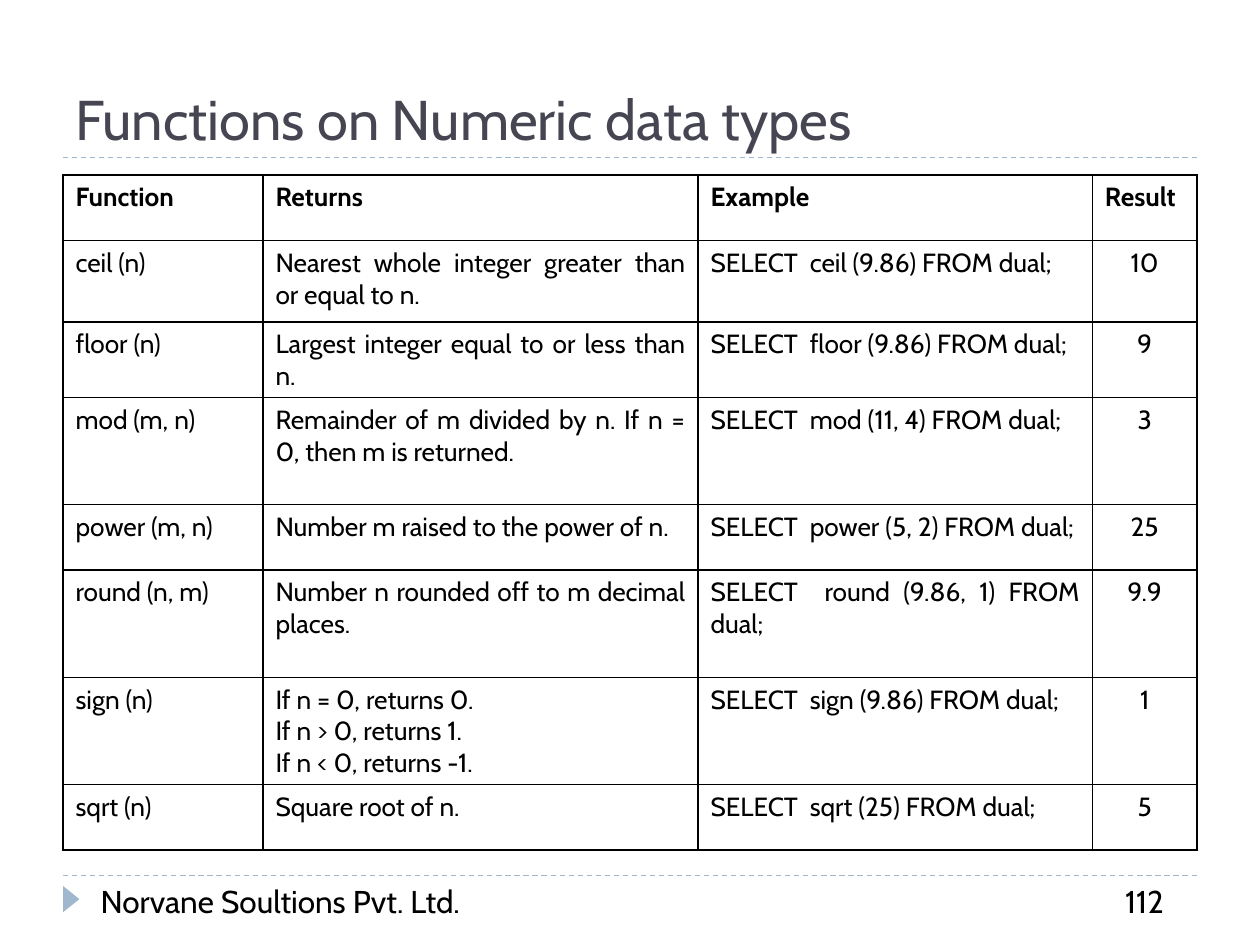
from lxml import etree
from pptx import Presentation
from pptx.dml.color import RGBColor
from pptx.enum import dml, shapes, text
from pptx.oxml import ns
from pptx.util import Cm, Pt

BLACK = RGBColor(0x00, 0x00, 0x00)
SLATE = RGBColor(0x46, 0x46, 0x53)
BLUE = RGBColor(0x9F, 0xB8, 0xCD)
FONT = "Cabin"
MARGIN = 1.27
WIDTH = 22.86


def style_text(frame, size, color, bold=False, align=text.PP_ALIGN.LEFT):
    for paragraph in frame.paragraphs:
        paragraph.alignment = align
        for span in paragraph.runs:
            span.font.name = FONT
            span.font.size = Pt(size)
            span.font.bold = bold
            span.font.color.rgb = color


def add_borders(cell):
    properties = cell._tc.get_or_add_tcPr()
    for position, side in enumerate(("lnL", "lnR", "lnT", "lnB")):
        border = etree.Element(ns.qn(f"a:{side}"), w=str(Pt(1)))
        fill = etree.SubElement(border, ns.qn("a:solidFill"))
        etree.SubElement(fill, ns.qn("a:srgbClr"), val=str(BLACK))
        properties.insert(position, border)


deck = Presentation()
deck.slide_width = Cm(25.4)
deck.slide_height = Cm(19.05)
page = deck.slides.add_slide(deck.slide_layouts[6])

for top in (17.65, 3.18):
    rule = page.shapes.add_connector(
        shapes.MSO_CONNECTOR.STRAIGHT, Cm(MARGIN), Cm(top), Cm(MARGIN + WIDTH), Cm(top)
    )
    rule.line.color.rgb = BLUE
    rule.line.width = Pt(0.75)
    rule.line.dash_style = dml.MSO_LINE.DASH
    etree.SubElement(rule._element.spPr, ns.qn("a:effectLst"))

marker = page.shapes.add_shape(
    shapes.MSO_SHAPE.ISOSCELES_TRIANGLE, Cm(1.17), Cm(17.96), Cm(0.53), Cm(0.33)
)
marker.rotation = 90
marker.shadow.inherit = False
marker.fill.solid()
marker.fill.fore_color.rgb = BLUE
marker.line.fill.background()

labels = [
    ("Functions on Numeric data types", MARGIN, 0.64, WIDTH, 2.54, 32, SLATE, text.MSO_ANCHOR.BOTTOM),
    ("Norvane Soultions Pvt. Ltd.", 1.78, 17.65, 9.65, 1.02, 18, BLACK, text.MSO_ANCHOR.TOP),
    ("112", 22.43, 17.65, 1.7, 1.02, 18, BLACK, text.MSO_ANCHOR.TOP),
]
for words, left, top, width, height, size, color, anchor in labels:
    box = page.shapes.add_textbox(Cm(left), Cm(top), Cm(width), Cm(height))
    box.text_frame.word_wrap = True
    box.text_frame.vertical_anchor = anchor
    box.text_frame.text = words
    style_text(box.text_frame, size, color)

rows = [
    ("Function", "Returns", "Example", "Result"),
    ("ceil (n)", "Nearest whole integer greater than or equal to n.", "SELECT  ceil (9.86) FROM dual;", "10"),
    ("floor (n)", "Largest integer equal to or less than n.", "SELECT  floor (9.86) FROM dual;", "9"),
    ("mod (m, n)", "Remainder of m divided by n. If n = 0, then m is returned.", "SELECT  mod (11, 4) FROM dual;", "3"),
    ("power (m, n)", "Number m raised to the power of n.", "SELECT  power (5, 2) FROM dual;", "25"),
    ("round (n, m)", "Number n rounded off to m decimal places.", "SELECT  round (9.86, 1) FROM dual;", "9.9"),
    ("sign (n)", "If n = 0, returns 0.\nIf n > 0, returns 1.\nIf n < 0, returns -1.", "SELECT  sign (9.86) FROM dual;", "1"),
    ("sqrt (n)", "Square root of n.", "SELECT  sqrt (25) FROM dual;", "5"),
]
column_widths = (4.03, 8.77, 7.95, 2.11)
row_heights = (1.32, 1.64, 1.32, 2.16, 1.32, 2.16, 2.14, 1.32)

table = page.shapes.add_table(
    len(rows), len(column_widths), Cm(MARGIN), Cm(3.53), Cm(WIDTH), Cm(sum(row_heights))
).table
table.first_row = False
table.horz_banding = False
for column, width in zip(table.columns, column_widths):
    column.width = Cm(width)
for row, height in zip(table.rows, row_heights):
    row.height = Cm(height)

for row_number, values in enumerate(rows):
    for column_number, value in enumerate(values):
        cell = table.cell(row_number, column_number)
        cell.fill.background()
        add_borders(cell)
        cell.text_frame.text = value
        header = row_number == 0
        centered = column_number == 3 and not header
        align = text.PP_ALIGN.CENTER if centered else text.PP_ALIGN.JUSTIFY
        style_text(cell.text_frame, 15, BLACK, header, align)

deck.save("out.pptx")
